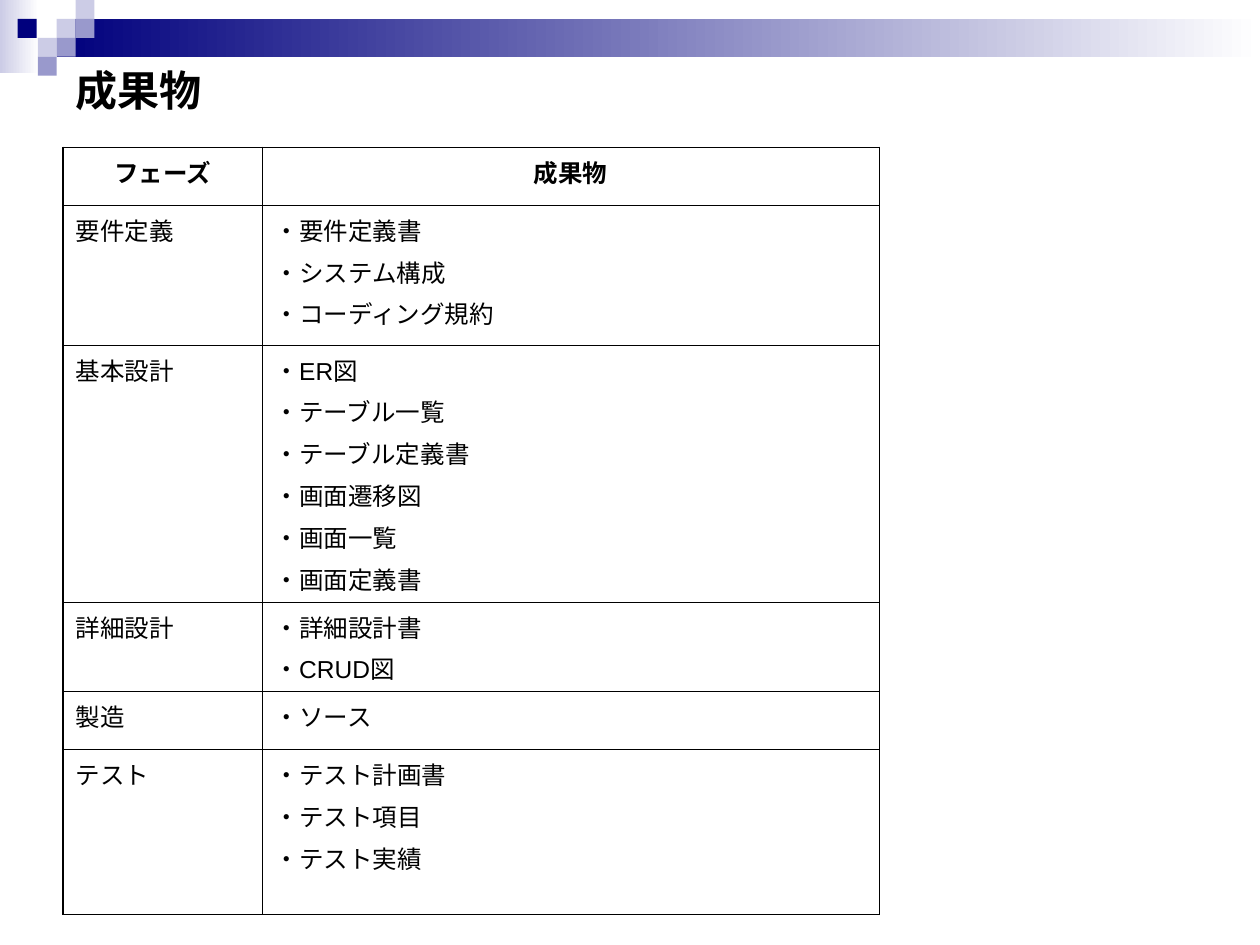
from dataclasses import dataclass

from lxml.etree import SubElement
from pptx import Presentation
from pptx.dml.color import RGBColor
from pptx.enum.lang import MSO_LANGUAGE_ID
from pptx.enum.shapes import MSO_SHAPE
from pptx.enum.text import MSO_ANCHOR, PP_ALIGN
from pptx.oxml.ns import qn
from pptx.slide import Slide
from pptx.table import Table, _Cell
from pptx.text.text import _Paragraph
from pptx.util import Inches, Pt

NAVY, LAVENDER, PERIWINKLE = "00007D", "CCCCE6", "9999CC"
WHITE, BLACK = "FFFFFF", "000000"
LATIN_FONT, JAPANESE_FONT = "Arial", "Noto Sans CJK JP"
SQUARE = 0.15
THIN, THICK = 0.45, 1.08
HEADINGS = ("フェーズ", "成果物")
COLUMN_WIDTHS = (1.58, 4.9)
HEADER_HEIGHT = 0.46


@dataclass
class Block:
    left: float
    top: float
    width: float
    height: float
    color: str
    fades: bool = False


@dataclass
class Phase:
    name: str
    height: float
    deliverables: tuple[str, ...]


def square(left: float, top: float, color: str) -> Block:
    return Block(left, top, SQUARE, SQUARE, color)


BLOCKS = (
    Block(0, 0, 0.31, 0.58, LAVENDER, fades=True),
    Block(0.45, 0.15, 9.55, 0.3, NAVY, fades=True),
    square(0.45, 0.15, LAVENDER),
    square(0.6, 0, LAVENDER),
    square(0.6, 0.15, PERIWINKLE),
    square(0.3, 0.3, LAVENDER),
    square(0.14, 0.15, NAVY),
    square(0.45, 0.3, PERIWINKLE),
    square(0.3, 0.45, PERIWINKLE),
)

PHASES = (
    Phase("要件定義", 1.11, ("要件定義書", "システム構成", "コーディング規約")),
    Phase("基本設計", 2.04, ("ER図", "テーブル一覧", "テーブル定義書",
                         "画面遷移図", "画面一覧", "画面定義書")),
    Phase("詳細設計", 0.71, ("詳細設計書", "CRUD図")),
    Phase("製造", 0.46, ("ソース",)),
    Phase("テスト", 1.31, ("テスト計画書", "テスト項目", "テスト実績")),
)


def rgb(value: str) -> RGBColor:
    return RGBColor.from_string(value)


def draw_block(page: Slide, block: Block) -> None:
    """Draw a flat block, or one that fades from its colour to white."""
    shape = page.shapes.add_shape(
        MSO_SHAPE.RECTANGLE, Inches(block.left), Inches(block.top),
        Inches(block.width), Inches(block.height))
    shape.shadow.inherit = False
    shape.line.fill.background()
    if block.fades:
        shape.fill.gradient()
        shape.fill.gradient_angle = 180
        for stop, color in zip(shape.fill.gradient_stops, (WHITE, block.color)):
            stop.color.rgb = rgb(color)
    else:
        shape.fill.solid()
        shape.fill.fore_color.rgb = rgb(block.color)


def write(para: _Paragraph, text: str, size: int, bold: bool) -> None:
    span = para.add_run()
    span.text = text
    font_format = {"name": LATIN_FONT, "size": Pt(size), "bold": bold,
                   "language_id": MSO_LANGUAGE_ID.JAPANESE}
    for attribute, value in font_format.items():
        setattr(span.font, attribute, value)
    span.font.color.rgb = rgb(BLACK)
    SubElement(span._r.get_or_add_rPr(), qn("a:ea"), typeface=JAPANESE_FONT)


def draw_title(page: Slide, text: str) -> None:
    box = page.shapes.add_textbox(Inches(0.5), Inches(0.5), Inches(9), Inches(0.42))
    box.text_frame.word_wrap = True
    box.text_frame.vertical_anchor = MSO_ANCHOR.MIDDLE
    write(box.text_frame.paragraphs[0], text, 24, True)


def fill_cell(cell: _Cell, lines: tuple[str, ...], heading: bool = False) -> None:
    for index, line in enumerate(lines):
        frame = cell.text_frame
        para = frame.add_paragraph() if index else frame.paragraphs[0]
        para.alignment = PP_ALIGN.CENTER if heading else PP_ALIGN.LEFT
        para.space_before = Pt(3.5)
        write(para, line, 14, heading)


def draw_borders(table: Table) -> None:
    """Rule every cell, with a thicker line around the table."""
    last_row, last_column = len(table.rows) - 1, len(table.columns) - 1
    for row in range(last_row + 1):
        for column in range(last_column + 1):
            cell = table.cell(row, column)
            outer_sides = {"lnL": column == 0, "lnR": column == last_column,
                           "lnT": row == 0, "lnB": row == last_row}
            properties = cell._tc.get_or_add_tcPr()
            for side, is_outer in outer_sides.items():
                width = Pt(THICK if is_outer else THIN)
                line = SubElement(properties, qn(f"a:{side}"), w=str(int(width)))
                SubElement(SubElement(line, qn("a:solidFill")),
                           qn("a:srgbClr"), val=BLACK)
            cell.fill.background()


def draw_table(page: Slide) -> None:
    heights = [HEADER_HEIGHT, *(phase.height for phase in PHASES)]
    table = page.shapes.add_table(
        len(heights), len(COLUMN_WIDTHS), Inches(0.5), Inches(1.17),
        Inches(sum(COLUMN_WIDTHS)), Inches(sum(heights))).table
    table.first_row = table.horz_banding = False
    for column, width in zip(table.columns, COLUMN_WIDTHS):
        column.width = Inches(width)
    for row, height in zip(table.rows, heights):
        row.height = Inches(height)
    for column, heading in enumerate(HEADINGS):
        fill_cell(table.cell(0, column), (heading,), heading=True)
    for row, phase in enumerate(PHASES, start=1):
        fill_cell(table.cell(row, 0), (phase.name,))
        fill_cell(table.cell(row, 1), tuple(f"・{item}" for item in phase.deliverables))
    draw_borders(table)


def main() -> None:
    deck = Presentation()
    deck.slide_width, deck.slide_height = Inches(10), Inches(7.5)
    page = deck.slides.add_slide(deck.slide_layouts[6])
    for block in BLOCKS:
        draw_block(page, block)
    draw_title(page, "成果物")
    draw_table(page)
    deck.save("out.pptx")


if __name__ == "__main__":
    main()
